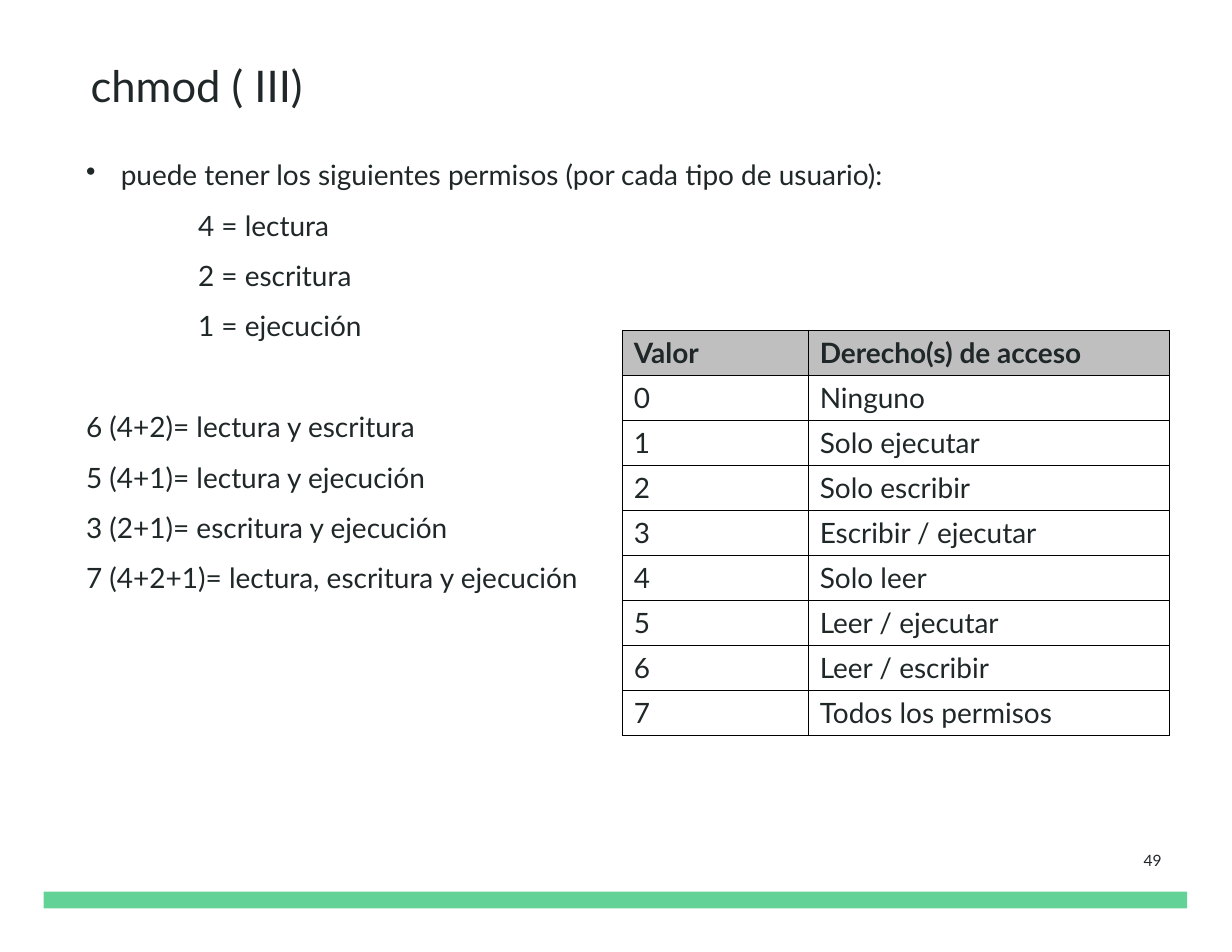
from lxml import etree
from pptx import Presentation
from pptx.dml.color import RGBColor
from pptx.enum.shapes import MSO_SHAPE
from pptx.enum.text import MSO_ANCHOR, PP_ALIGN
from pptx.oxml.ns import qn
from pptx.util import Inches, Pt

RECTANGLE = MSO_SHAPE.RECTANGLE
MIDDLE = MSO_ANCHOR.MIDDLE
RIGHT = PP_ALIGN.RIGHT

INK = RGBColor(0x20, 0x27, 0x29)
GREEN = RGBColor(0x63, 0xD2, 0x97)
HEADER_GRAY = RGBColor(0xBF, 0xBF, 0xBF)
BLACK = RGBColor(0, 0, 0)

FONT = "Lato"
BODY_SIZE = 18
LINE_SPACING = 1.5
BLANK_LINE = Pt(32.4)  # one body line at the body spacing

PERMISSIONS = ["4 = lectura", "2 = escritura", "1 = ejecución"]
COMBINATIONS = [
    "6 (4+2)= lectura y escritura",
    "5 (4+1)= lectura y ejecución",
    "3 (2+1)= escritura y ejecución",
    "7 (4+2+1)= lectura, escritura y ejecución",
]
RIGHTS = [
    "Ninguno", "Solo ejecutar", "Solo escribir", "Escribir / ejecutar",
    "Solo leer", "Leer / ejecutar", "Leer / escribir", "Todos los permisos",
]


def write(paragraph, text, size=BODY_SIZE, bold=False):
    paragraph.text = text
    for run in paragraph.runs:
        run.font.color.rgb = INK
        for key, value in {"name": FONT, "size": Pt(size), "bold": bold}.items():
            setattr(run.font, key, value)


def add_text_frame(slide, box, **settings):
    frame = slide.shapes.add_textbox(*map(Inches, box)).text_frame
    frame.word_wrap = True
    for key, value in settings.items():
        setattr(frame, key, value)
    return frame


def indent(paragraph, left, first=0, bullet=None):
    properties = paragraph._p.get_or_add_pPr()
    properties.set("marL", str(Inches(left)))
    properties.set("indent", str(Inches(first)))
    if bullet:
        etree.SubElement(properties, qn("a:buChar")).set("char", bullet)


def add_footer_bar(slide, box):
    bar = slide.shapes.add_shape(RECTANGLE, *map(Inches, box))
    bar.shadow.inherit = False
    bar.fill.solid()
    bar.fill.fore_color.rgb = GREEN
    bar.line.fill.background()


def add_title(slide, box):
    frame = add_text_frame(slide, box, margin_left=0, margin_right=0,
                           margin_top=Inches(0.1), margin_bottom=Inches(0.1))
    write(frame.paragraphs[0], "chmod ( III)", size=28)


def add_page_number(slide, box):
    frame = add_text_frame(slide, box, vertical_anchor=MIDDLE)
    number = frame.paragraphs[0]
    number.alignment = RIGHT
    write(number, "49", size=10)


def add_explanation(slide, box):
    frame = add_text_frame(slide, box)

    # Bulleted introduction
    intro = frame.paragraphs[0]
    indent(intro, 0.31, -0.31, "•")
    write(intro, "puede tener los siguientes permisos (por cada tipo de usuario):")

    # Single permissions
    for permission in PERMISSIONS:
        line = frame.add_paragraph()
        line.level = 2
        indent(line, 1)
        write(line, permission)

    # Sums of permissions, one line each
    sums = frame.add_paragraph()
    sums.space_before = BLANK_LINE
    write(sums, "\n".join(COMBINATIONS))

    for paragraph in frame.paragraphs:
        paragraph.line_spacing = LINE_SPACING


def add_borders(cell):
    properties = cell._tc.get_or_add_tcPr()
    for side in ("lnL", "lnR", "lnT", "lnB"):
        border = etree.SubElement(properties, qn(f"a:{side}"))
        border.set("w", str(Pt(0.75)))
        fill = etree.SubElement(border, qn("a:solidFill"))
        etree.SubElement(fill, qn("a:srgbClr")).set("val", str(BLACK))


def add_rights_table(slide, box):
    rows = [("Valor", "Derecho(s) de acceso")]
    rows += [(str(value), right) for value, right in enumerate(RIGHTS)]
    table = slide.shapes.add_table(len(rows), 2, *map(Inches, box)).table
    table.horz_banding = False
    for column, width in zip(table.columns, (1.66, 3.22)):
        column.width = Inches(width)

    for r, row in enumerate(rows):
        is_header = r == 0
        for c, text in enumerate(row):
            cell = table.cell(r, c)
            write(cell.text_frame.paragraphs[0], text, bold=is_header)
            add_borders(cell)
            if is_header:
                cell.fill.solid()
                cell.fill.fore_color.rgb = HEADER_GRAY
            else:
                cell.fill.background()


def main():
    presentation = Presentation()
    presentation.slide_width = Inches(11)
    presentation.slide_height = Inches(8.5)
    slide = presentation.slides.add_slide(presentation.slide_layouts[6])

    add_footer_bar(slide, (0.39, 7.96, 10.21, 0.15))
    add_title(slide, (0.81, 0.43, 9.52, 0.86))
    add_page_number(slide, (9.86, 7.39, 0.61, 0.59))
    add_rights_table(slide, (5.56, 2.95, 4.88, 3.62))
    add_explanation(slide, (0.67, 1.21, 7.52, 4.13))

    presentation.save("out.pptx")


if __name__ == "__main__":
    main()
